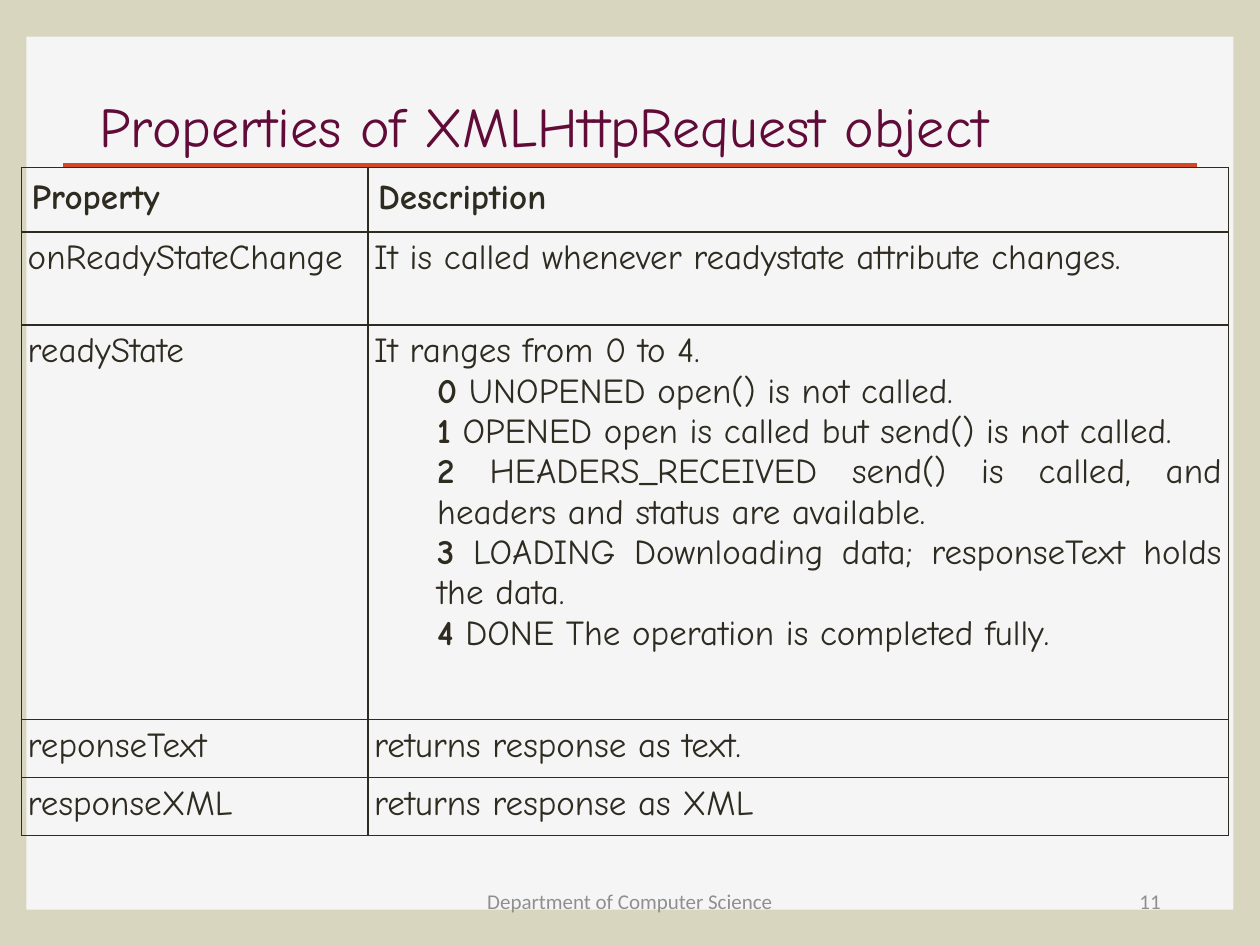
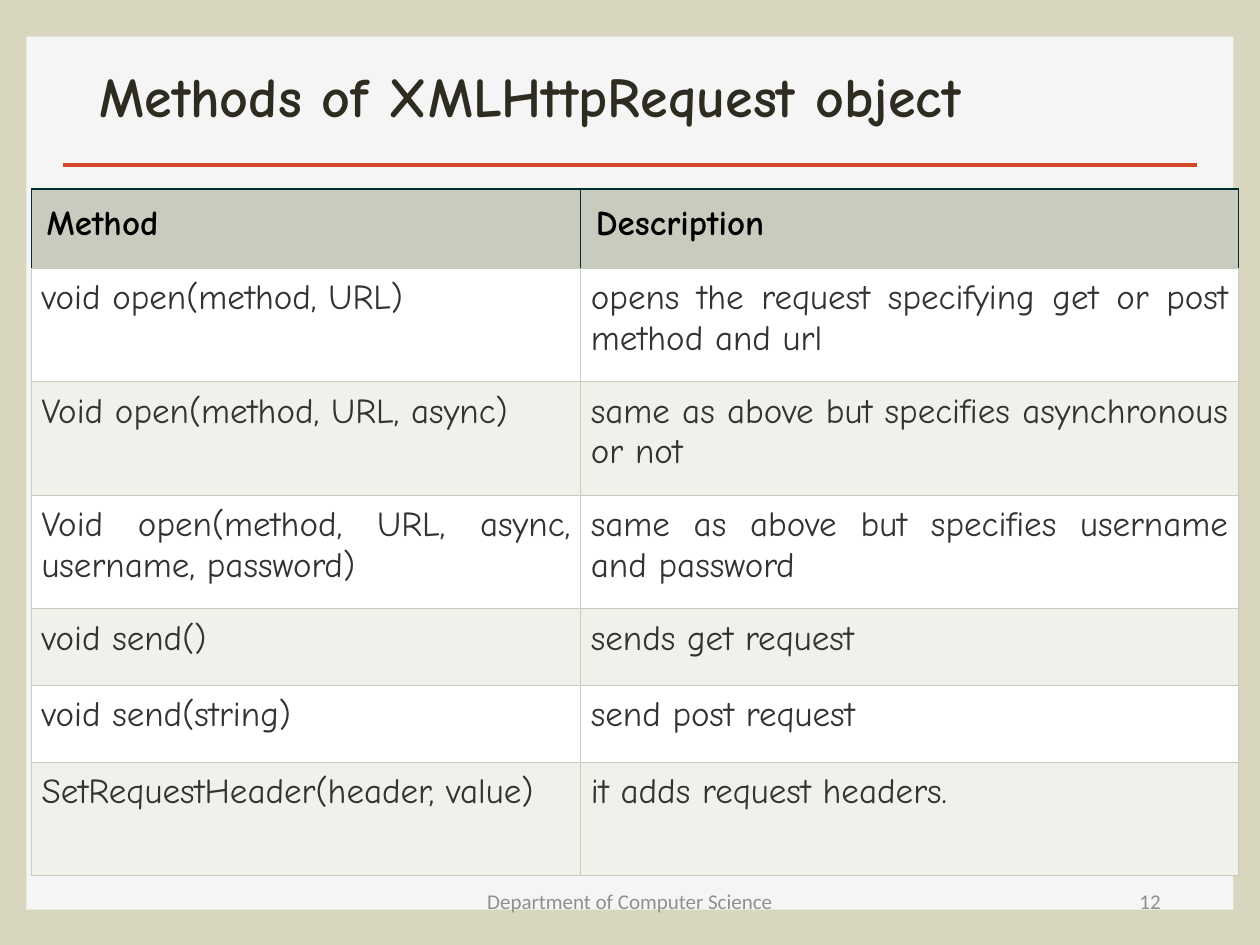
from lxml import etree
from pptx import Presentation
from pptx import util as u
from pptx.dml.color import RGBColor
from pptx.enum import shapes, text
from pptx.oxml.ns import qn

SAND = RGBColor(0xD8, 0xD6, 0xBE)
PAPER = RGBColor(0xF5, 0xF5, 0xF5)
RED = RGBColor(0xD2, 0x47, 0x26)
PLUM = RGBColor(0x61, 0x0B, 0x38)
INK = RGBColor(0x2E, 0x2B, 0x21)
GREY = RGBColor(0x8F, 0x8F, 0x8D)
BLACK = RGBColor(0, 0, 0)
DARK = RGBColor(0x33, 0x33, 0x33)
TEAL = RGBColor(0x00, 0x2B, 0x2F)
SAGE = RGBColor(0xC7, 0xCC, 0xBE)
PALE = RGBColor(0xEF, 0xF1, 0xEB)
WHITE = RGBColor(0xFF, 0xFF, 0xFF)

HAND, SANS = "Comic Neue", "Calibri"
LEFT, CENTER, RIGHT, JUSTIFY = (
    text.PP_ALIGN.LEFT, text.PP_ALIGN.CENTER,
    text.PP_ALIGN.RIGHT, text.PP_ALIGN.JUSTIFY)

# A list is a lead line followed by indented states, each with a bold digit.
PROPS = [
    ("Property", "Description"),
    ("onReadyStateChange",
     "It is called whenever readystate attribute changes."),
    ("readyState", [
        "It ranges from 0 to 4.",
        "0 UNOPENED open() is not called.",
        "1 OPENED open is called but send() is not called.",
        "2 HEADERS_RECEIVED send() is called, and headers and status "
        "are available.",
        "3 LOADING Downloading data; responseText holds the data.",
        "4 DONE The operation is completed fully."]),
    ("reponseText", "returns response as text."),
    ("responseXML", "returns response as XML"),
]
METHODS = [
    ("Method", "Description"),
    ("void open(method, URL)",
     "opens the request specifying get or post method and url"),
    ("Void open(method, URL, async)",
     "same as above but specifies asynchronous or not"),
    ("Void open(method, URL, async, username, password)",
     "same as above but specifies username and password"),
    ("void send()", "sends get request"),
    ("void send(string)", "send post request"),
    ("SetRequestHeader(header, value)", "it adds request headers."),
]


def style(para, size, color, face=HAND, bold=False, align=LEFT):
    para.alignment = align
    font = para.font
    font.size, font.name, font.bold = u.Pt(size), face, bold
    font.color.rgb = color


def add_text(slide, box, words, *look, **more):
    frame = slide.shapes.add_textbox(*map(u.Inches, box)).text_frame
    frame.word_wrap = True
    frame.vertical_anchor = text.MSO_ANCHOR.MIDDLE
    para = frame.paragraphs[0]
    para.text = words
    style(para, *look, **more)
    return para


def add_base(deck, number):
    """Add a slide with its backdrop, rule and footer."""
    slide = deck.slides.add_slide(deck.slide_layouts[6])
    back = slide.background.fill
    back.solid()
    back.fore_color.rgb = SAND
    panel = slide.shapes.add_shape(
        shapes.MSO_SHAPE.RECTANGLE,
        *map(u.Inches, (0.21, 0.29, 9.58, 6.93)))
    panel.shadow.inherit = False
    panel.fill.solid()
    panel.fill.fore_color.rgb = PAPER
    panel.line.fill.background()
    rule = slide.shapes.add_connector(
        shapes.MSO_CONNECTOR.STRAIGHT,
        *map(u.Inches, (0.5, 1.31, 9.5, 1.31)))
    rule.line.color.rgb = RED
    rule.line.width = u.Pt(2)
    etree.SubElement(rule._element.spPr, qn("a:effectLst"))
    add_text(slide, (7.06, 6.95, 2.25, 0.4), str(number),
             12, GREY, SANS, align=RIGHT)
    add_text(slide, (3.31, 6.95, 3.38, 0.4), "Department of Computer Science",
             12, GREY, SANS, align=CENTER)
    return slide


def set_edges(cell, width, colors):
    """Draw the left, right, top and bottom borders, in that order."""
    props = cell._tc.get_or_add_tcPr()
    for spot, (side, color) in enumerate(zip("LRTB", colors)):
        line = etree.Element(qn("a:ln" + side), w=str(u.Pt(width)))
        fill = etree.SubElement(line, qn("a:solidFill"))
        etree.SubElement(fill, qn("a:srgbClr"), val=str(color))
        props.insert(spot, line)


def fill_cell(cell, words, inset, color, head, back):
    cell.margin_left = cell.margin_right = u.Inches(inset)
    cell.margin_top = cell.margin_bottom = u.Inches(inset)
    if back is None:
        cell.fill.background()
    else:
        cell.fill.solid()
        cell.fill.fore_color.rgb = back
    lead, *states = words if isinstance(words, list) else [words]
    frame = cell.text_frame
    para = frame.paragraphs[0]
    para.text = lead
    look = dict(bold=head, align=LEFT if head else JUSTIFY)
    style(para, 20, color, **look)
    for state in states:
        para = frame.add_paragraph()
        para._p.get_or_add_pPr().set("marL", str(u.Inches(0.5)))
        digit = para.add_run()
        digit.text = state[:1]
        digit.font.bold = True
        para.add_run().text = state[1:]
        style(para, 20, color, **look)


def add_grid(slide, left, top, cols, highs, rows, insets, inks, backs,
             width, edge, rim):
    """Add a table; pairs hold the header value, then the body value.

    backs holds the header fill, then the fills that body rows take in turn.
    rim colours the header's left, right and top borders.
    """
    grid = slide.shapes.add_table(
        len(rows), len(cols), u.Inches(left), u.Inches(top),
        u.Inches(sum(cols)), u.Inches(sum(highs))).table
    for col, wide in zip(grid.columns, cols):
        col.width = u.Inches(wide)
    for r, (high, row) in enumerate(zip(highs, rows)):
        grid.rows[r].height = u.Inches(high)
        kind = min(r, 1)
        back = backs[1 + (r - 1) % (len(backs) - 1)] if r else backs[0]
        edges = [edge] * 4 if r else [rim] * 3 + [edge]
        for c, words in enumerate(row):
            cell = grid.cell(r, c)
            fill_cell(cell, words, insets[kind], inks[kind], r == 0, back)
            set_edges(cell, width, edges)


def add_props(deck):
    slide = add_base(deck, 11)
    add_text(slide, (0.69, 0.4, 8.62, 1.18),
             "Properties of XMLHttpRequest object", 32, PLUM, align=JUSTIFY)
    add_grid(slide, 0.17, 1.33, (2.75, 6.83), (0.51, 0.74, 3.13, 0.46, 0.46),
             PROPS, (0.08, 0.05), (INK, INK), (None, None), 1, INK, INK)


def add_methods(deck):
    slide = add_base(deck, 12)
    title = add_text(slide, (0.69, 0.4, 8.62, 0.77),
                     "Methods of XMLHttpRequest object", 32, INK, bold=True)
    title.line_spacing = 0.9
    add_grid(slide, 0.25, 1.5, (4.36, 5.22),
             (0.63, 0.9, 0.9, 0.9, 0.61, 0.61, 0.9), METHODS,
             (0.12, 0.08), (BLACK, DARK), (SAGE, WHITE, PALE),
             0.75, SAGE, TEAL)


def main():
    deck = Presentation()
    deck.slide_width, deck.slide_height = u.Inches(10), u.Inches(7.5)
    add_props(deck)
    add_methods(deck)
    deck.save("out.pptx")


if __name__ == "__main__":
    main()
